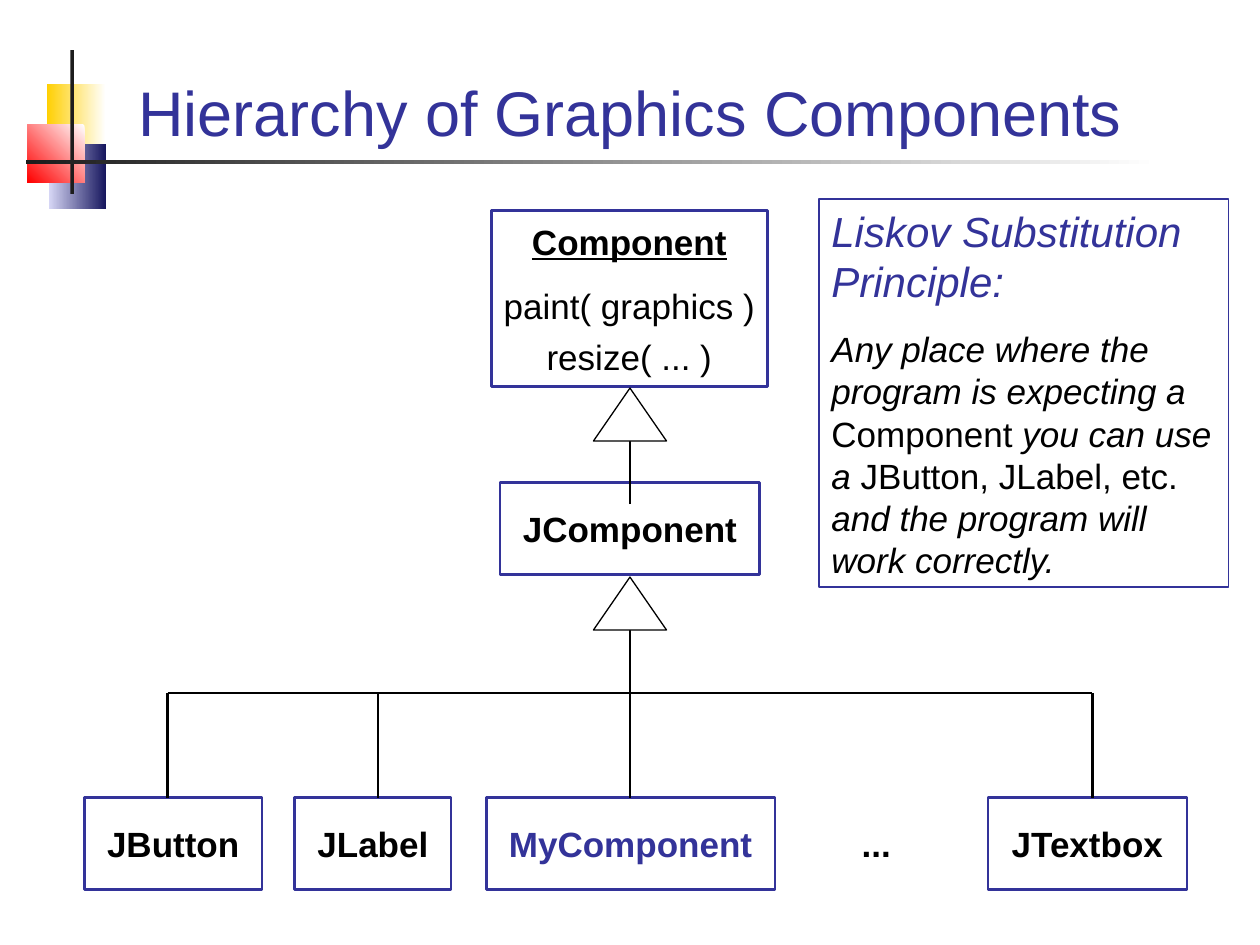
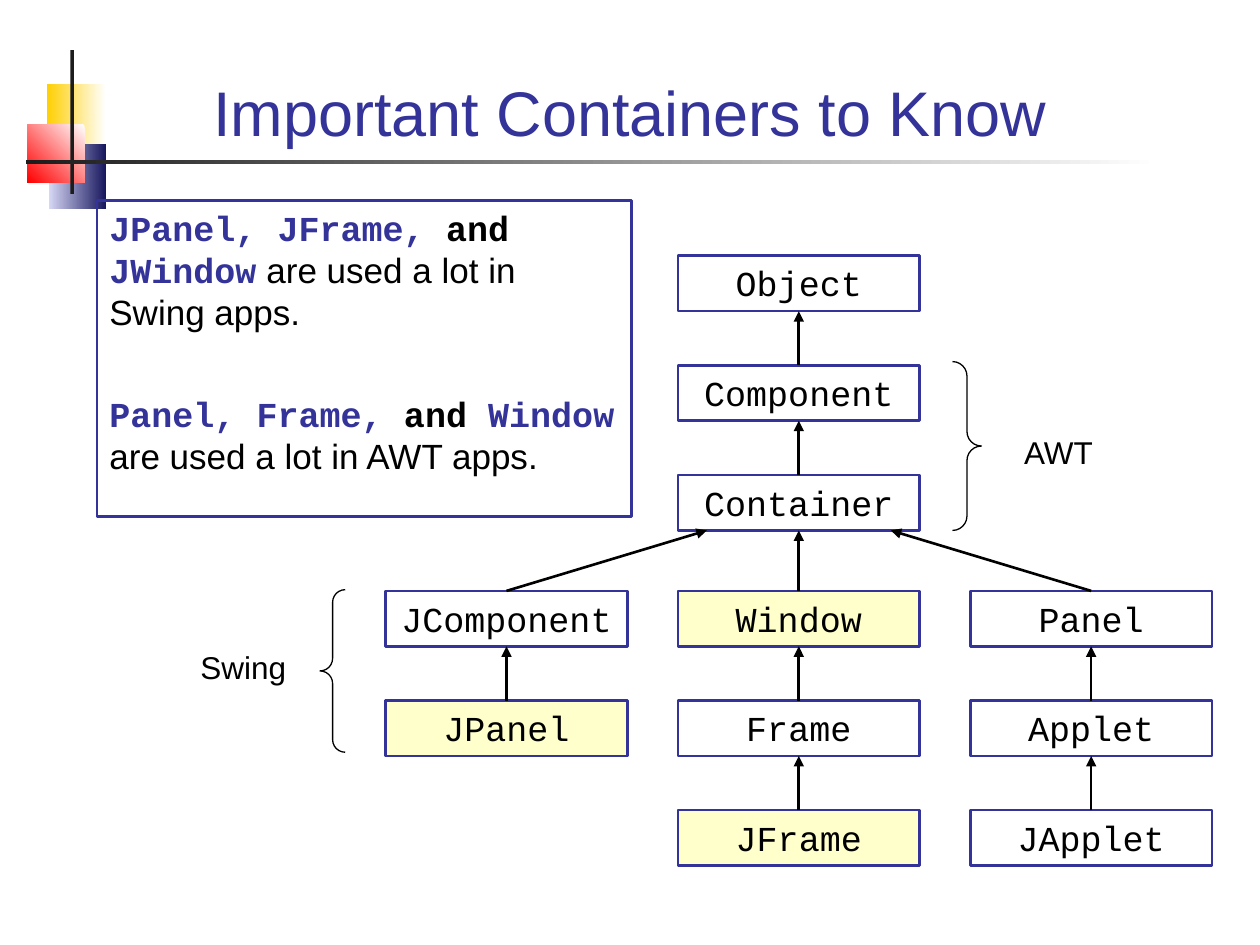
from lxml import etree
from pptx import Presentation
from pptx import util as u
from pptx.dml.color import RGBColor
from pptx.enum import shapes, text
from pptx.oxml.ns import qn

INDIGO, BLACK, WHITE, CREAM, CHARCOAL = "333399", "000000", "FFFFFF", "FFFFCC", "1C1C1C"
SANS, MONO = "Arial", "Courier New"
KIND = shapes.MSO_SHAPE
ALIGN = text.PP_ALIGN

TITLE_BOX = (0.67, 0.28, 8.66, 0.95)
ORNAMENTS = [
    ((0.37, 0.67, 0.47, 0.52), (WHITE, "FFCF01"), 180),
    ((0.39, 1.14, 0.45, 0.52), ("17175E", "D6D6F5"), 180),
    ((0.22, 0.99, 0.45, 0.46), (WHITE, "FF0000"), 225),
    ((0.56, 0.4, 0.03, 1.14), (CHARCOAL, CHARCOAL), 180),
    ((0.21, 1.27, 8.99, 0.03), (WHITE, CHARCOAL), 180),
]

PLAIN = {"size": 20, "name": SANS, "color": BLACK}
BOLD = PLAIN | {"bold": True}
ITALIC = PLAIN | {"italic": True}
CODE = PLAIN | {"name": MONO}
CODE_BOLD = CODE | {"bold": True}
CODE_KEY = CODE_BOLD | {"color": INDIGO}
LABEL = PLAIN | {"size": 18}
TITLE = {"size": 36, "name": SANS, "color": INDIGO}

COMPONENT = [
    (0, [("Component", BOLD | {"underline": True})]),
    (12.5, [("paint( graphics )", PLAIN)]),
    (5, [("resize( ... )", PLAIN)]),
]
LISKOV = [
    (0, [("Liskov Substitution Principle:", ITALIC | {"size": 24, "color": INDIGO})]),
    (12.5, [
        ("Any place where the program is expecting a ", ITALIC),
        ("Component ", PLAIN),
        ("you can use a ", ITALIC),
        ("JButton, JLabel, etc. ", PLAIN),
        ("and the program will work correctly.", ITALIC),
    ]),
]
WIDGETS = [
    ("JButton", 0.67, 1.41, 1.33, BLACK),
    ("JLabel", 2.34, 1.24, 3, BLACK),
    ("MyComponent", 3.86, 2.29, 5, INDIGO),
    ("...", 6.58, 0.75, None, BLACK),
    ("JTextbox", 7.84, 1.58, 8.67, BLACK),
]
WIDGET_TOP, WIDGET_HEIGHT, RAIL, TRUNK = 6.33, 0.73, 5.5, 5

USAGE = [
    (0, [("JPanel, JFrame, ", CODE_KEY), ("and", CODE_BOLD), (" JWindow", CODE_KEY),
         (" are used a lot in Swing apps.", PLAIN)]),
    (34, [("Panel, Frame, ", CODE_KEY), ("and", CODE_BOLD), (" Window", CODE_KEY),
          (" are used a lot in AWT apps.", PLAIN)]),
]
CLASSES = {
    "Object": (1, 0, None),
    "Component": (1, 1, "Object"),
    "Container": (1, 2, "Component"),
    "JComponent": (0, 3, "Container"),
    "Window": (1, 3, "Container"),
    "Panel": (2, 3, "Container"),
    "JPanel": (0, 4, "JComponent"),
    "Frame": (1, 4, "Window"),
    "Applet": (2, 4, "Panel"),
    "JFrame": (1, 5, "Frame"),
    "JApplet": (2, 5, "Applet"),
}
HIGHLIGHTED = {"JPanel", "Window", "JFrame"}
CLASS_WIDTH, CLASS_HEIGHT = 1.92, 0.44
TOOLKITS = [
    ("AWT", (8.03, 3.39, 1.13, 0.4), ALIGN.LEFT, KIND.RIGHT_BRACE, (7.56, 2.87, 0.23, 1.34)),
    ("Swing", (1.24, 5.09, 1.13, 0.4), ALIGN.RIGHT, KIND.LEFT_BRACE, (2.54, 4.68, 0.2, 1.29)),
]


def rgb(value):
    return RGBColor.from_string(value)


def inches(values):
    return [u.Inches(value) for value in values]


def assign(target, values):
    for name, value in values.items():
        setattr(target, name, value)


def style_font(font, values):
    for name, value in values.items():
        if name == "color":
            font.color.rgb = rgb(value)
        else:
            setattr(font, name, u.Pt(value) if name == "size" else value)


def write(shape, paragraphs, align=ALIGN.CENTER, inset=(0.1, 0.05), wrap=True,
          anchor=text.MSO_ANCHOR.TOP):
    frame = shape.text_frame
    side, edge = inches(inset)
    assign(frame, {
        "margin_left": side, "margin_right": side, "margin_top": edge, "margin_bottom": edge,
        "word_wrap": wrap, "auto_size": text.MSO_AUTO_SIZE.NONE, "vertical_anchor": anchor,
    })
    for index, (space, runs) in enumerate(paragraphs):
        paragraph = frame.add_paragraph() if index else frame.paragraphs[0]
        assign(paragraph, {"alignment": align, "space_before": u.Pt(space)})
        for words, values in runs:
            run = paragraph.add_run()
            run.text = words
            style_font(run.font, values)


def add_shape(slide, kind, box, line=INDIGO, width=1.5, fill=None):
    shape = slide.shapes.add_shape(kind, *inches(box))
    shape.shadow.inherit = False
    if fill:
        shape.fill.solid()
        shape.fill.fore_color.rgb = rgb(fill)
    else:
        shape.fill.background()
    if line:
        shape.line.color.rgb = rgb(line)
        shape.line.width = u.Pt(width)
    else:
        shape.line.fill.background()
    return shape


def add_line(slide, start, end, arrow=False):
    connector = slide.shapes.add_connector(shapes.MSO_CONNECTOR.STRAIGHT, *inches(start + end))
    connector.line.color.rgb = rgb(BLACK)
    connector.line.width = u.Pt(1.5)
    properties = connector.element.spPr
    if arrow:
        etree.SubElement(properties.find(qn("a:ln")), qn("a:tailEnd"), type="triangle")
    etree.SubElement(properties, qn("a:effectLst"))


def add_label(slide, box, words, values, **options):
    write(slide.shapes.add_textbox(*inches(box)), [(0, [(words, values)])], **options)


def decorate_layout(layout, slide):
    for box, colors, angle in ORNAMENTS:
        shape = add_shape(slide, KIND.RECTANGLE, box, line=None)
        shape.fill.gradient()
        shape.fill.gradient_angle = angle
        for stop, color in zip(shape.fill.gradient_stops, colors):
            stop.color.rgb = rgb(color)
        layout.shapes.element.append(shape.element)


def add_slide(presentation, layout, title):
    slide = presentation.slides.add_slide(layout)
    shape = slide.shapes.title
    assign(shape, dict(zip(("left", "top", "width", "height"), inches(TITLE_BOX))))
    write(shape, [(0, [(title, TITLE)])], anchor=text.MSO_ANCHOR.BOTTOM)
    return slide


def add_triangle(slide, top):
    add_shape(slide, KIND.ISOSCELES_TRIANGLE, (TRUNK - 0.29, top, 0.58, 0.42), BLACK, 0.75, WHITE)


def draw_hierarchy(slide):
    roomy = {"inset": (0.18, 0.2), "wrap": False}
    write(add_shape(slide, KIND.RECTANGLE, (3.9, 1.67, 2.19, 1.4)), COMPONENT,
          inset=(0.1, 0.08), wrap=False)
    write(add_shape(slide, KIND.RECTANGLE, (3.97, 3.83, 2.06, WIDGET_HEIGHT)),
          [(0, [("JComponent", BOLD)])], **roomy)
    for name, left, width, stem, color in WIDGETS:
        box = (left, WIDGET_TOP, width, WIDGET_HEIGHT)
        values = BOLD | {"color": color}
        if stem is None:
            add_label(slide, box, name, values, **roomy)
        else:
            write(add_shape(slide, KIND.RECTANGLE, box), [(0, [(name, values)])], **roomy)
            add_line(slide, (stem, WIDGET_TOP), (stem, RAIL))
    stems = [widget[3] for widget in WIDGETS if widget[3]]
    add_line(slide, (min(stems), RAIL), (max(stems), RAIL))
    for bottom, top in ((RAIL, 4.58), (4, 3.08)):
        add_line(slide, (TRUNK, bottom), (TRUNK, top + 0.33))
        add_triangle(slide, top)
    write(add_shape(slide, KIND.RECTANGLE, (6.5, 1.58, 3.25, 3.08), width=0.75), LISKOV,
          align=ALIGN.LEFT)


def class_place(name):
    column, row, _ = CLASSES[name]
    top = 2.03 + 0.87 * row if row < 3 else 4.69 + 0.87 * (row - 3)
    return 3.06 + 2.32 * column, top


def draw_containers(slide):
    write(add_shape(slide, KIND.RECTANGLE, (0.77, 1.59, 4.24, 2.51)), USAGE, align=ALIGN.LEFT)
    for name, (column, _, parent) in CLASSES.items():
        left, top = class_place(name)
        shape = add_shape(slide, KIND.RECTANGLE, (left, top, CLASS_WIDTH, CLASS_HEIGHT),
                          fill=CREAM if name in HIGHLIGHTED else None)
        write(shape, [(0, [(name, CODE)])], wrap=False)
        if parent:
            parent_left, parent_top = class_place(parent)
            shift = 0.73 * (column - CLASSES[parent][0])
            add_line(slide, (left + CLASS_WIDTH / 2, top),
                     (parent_left + CLASS_WIDTH / 2 + shift, parent_top + CLASS_HEIGHT), arrow=True)
    for name, label_box, align, brace, brace_box in TOOLKITS:
        add_label(slide, label_box, name, LABEL, align=align)
        shape = add_shape(slide, brace, brace_box, BLACK, 0.75)
        shape.adjustments[0] = 0.5


def main():
    presentation = Presentation()
    assign(presentation, {"slide_width": u.Inches(10), "slide_height": u.Inches(7.5)})
    layout = presentation.slide_layouts.get_by_name("Title Only")
    hierarchy = add_slide(presentation, layout, "Hierarchy of Graphics Components")
    decorate_layout(layout, hierarchy)
    draw_hierarchy(hierarchy)
    draw_containers(add_slide(presentation, layout, "Important Containers to Know"))
    presentation.save("out.pptx")


if __name__ == "__main__":
    main()
